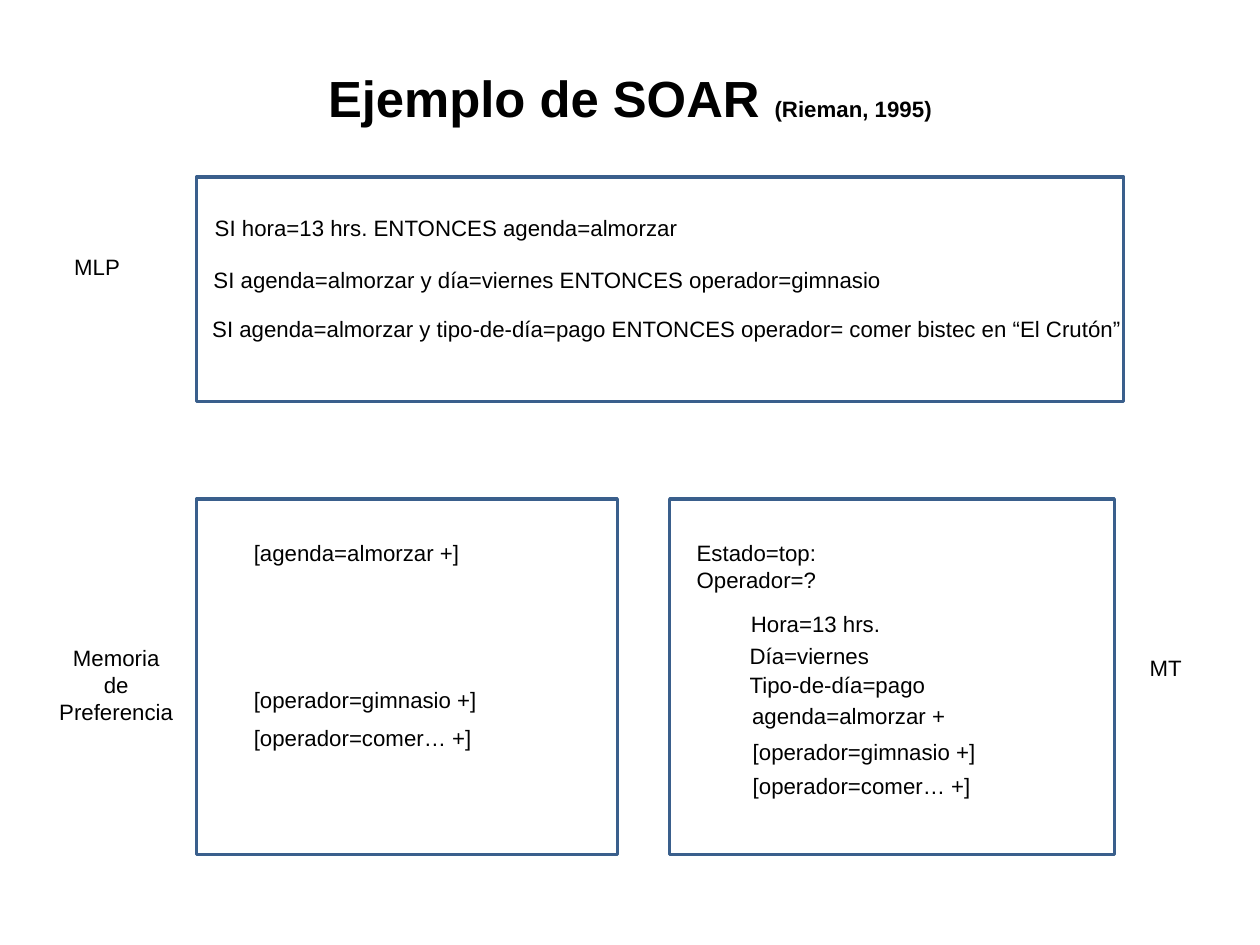
import pptx
import pptx.dml.color
import pptx.enum.shapes
import pptx.enum.text
import pptx.util

COLUMNS, ROWS = 20, 15
LINE_HEIGHT = 0.62


def color(hex_text):
    return pptx.dml.color.RGBColor.from_string(hex_text)


class SlideBuilder:
    """Places elements on a grid of 20 columns by 15 rows."""

    font, ink, border = "Arial", "000000", "3A5F8C"
    text_size, border_width = 14, 2

    def __init__(self, deck):
        self.page = deck.slides.add_slide(deck.slide_layouts[6])
        self.column = deck.slide_width / COLUMNS
        self.row = deck.slide_height / ROWS

    def area(self, left, top, width, height):
        return (round(left * self.column), round(top * self.row),
                round(width * self.column), round(height * self.row))

    def frame(self, *place):
        box = self.page.shapes.add_shape(
            pptx.enum.shapes.MSO_SHAPE.RECTANGLE, *self.area(*place))
        box.shadow.inherit = False
        box.fill.background()
        box.line.color.rgb = color(self.border)
        box.line.width = pptx.util.Pt(self.border_width)

    def add_span(self, para, text, size, bold=False):
        span = para.add_run()
        span.text = text
        span.font.name = self.font
        span.font.size = pptx.util.Pt(size)
        span.font.bold = bold
        span.font.color.rgb = color(self.ink)

    def text(self, left, top, width, *lines, height=LINE_HEIGHT, centered=False):
        box = self.page.shapes.add_textbox(*self.area(left, top, width, height))
        box.text_frame.word_wrap = True
        for index, line in enumerate(lines):
            para = box.text_frame.add_paragraph() if index else box.text_frame.paragraphs[0]
            if centered:
                para.alignment = pptx.enum.text.PP_ALIGN.CENTER
            self.add_span(para, line, self.text_size)

    def title(self, place, *spans):
        box = self.page.shapes.add_textbox(*self.area(*place))
        box.text_frame.word_wrap = True
        box.text_frame.vertical_anchor = pptx.enum.text.MSO_ANCHOR.MIDDLE
        para = box.text_frame.paragraphs[0]
        para.alignment = pptx.enum.text.PP_ALIGN.CENTER
        for text, size in spans:
            self.add_span(para, text, size, bold=True)


def main():
    deck = pptx.Presentation()
    deck.slide_width = pptx.util.Cm(28)
    deck.slide_height = pptx.util.Cm(21)
    slide = SlideBuilder(deck)

    slide.title((1, 0.3, 18, 2.5), ("Ejemplo de SOAR ", 32), ("(Rieman, 1995)", 14))

    # Long-term memory: production rules
    slide.frame(3.12, 2.81, 14.72, 3.56)
    slide.text(1, 3.93, 1.65, "MLP")
    for left, top, width, rule in (
        (3.23, 3.31, 10.14, "SI hora=13 hrs. ENTONCES agenda=almorzar"),
        (3.21, 4.14, 11.05, "SI agenda=almorzar y día=viernes ENTONCES operador=gimnasio"),
        (3.19, 4.91, 14.88, "SI agenda=almorzar y tipo-de-día=pago ENTONCES "
                            "operador= comer bistec en “El Crutón”"),
    ):
        slide.text(left, top, width, rule)

    # Preference memory
    slide.frame(3.12, 7.92, 6.68, 5.64)
    slide.text(0.74, 10.14, 2.21, "Memoria de Preferencia", height=1.47, centered=True)
    for top, width, preference in (
        (8.47, 4.81, "[agenda=almorzar +]"),
        (10.81, 3.92, "[operador=gimnasio +]"),
        (11.41, 5.77, "[operador=comer… +]"),
    ):
        slide.text(3.85, top, width, preference)

    # Working memory
    slide.frame(10.63, 7.92, 7.06, 5.64)
    slide.text(18.07, 10.3, 1.65, "MT")
    slide.text(10.88, 8.47, 2.49, "Estado=top:", "Operador=?", height=1.03)
    for left, top, width, fact in (
        (11.74, 9.6, 2.67, "Hora=13 hrs."),
        (11.72, 10.1, 2.49, "Día=viernes"),
        (11.72, 10.57, 3.72, "Tipo-de-día=pago"),
        (11.76, 11.06, 3.61, "agenda=almorzar +"),
        (11.77, 11.63, 4.01, "[operador=gimnasio +]"),
        (11.77, 12.17, 5.95, "[operador=comer… +]"),
    ):
        slide.text(left, top, width, fact)

    deck.save("out.pptx")


if __name__ == "__main__":
    main()
